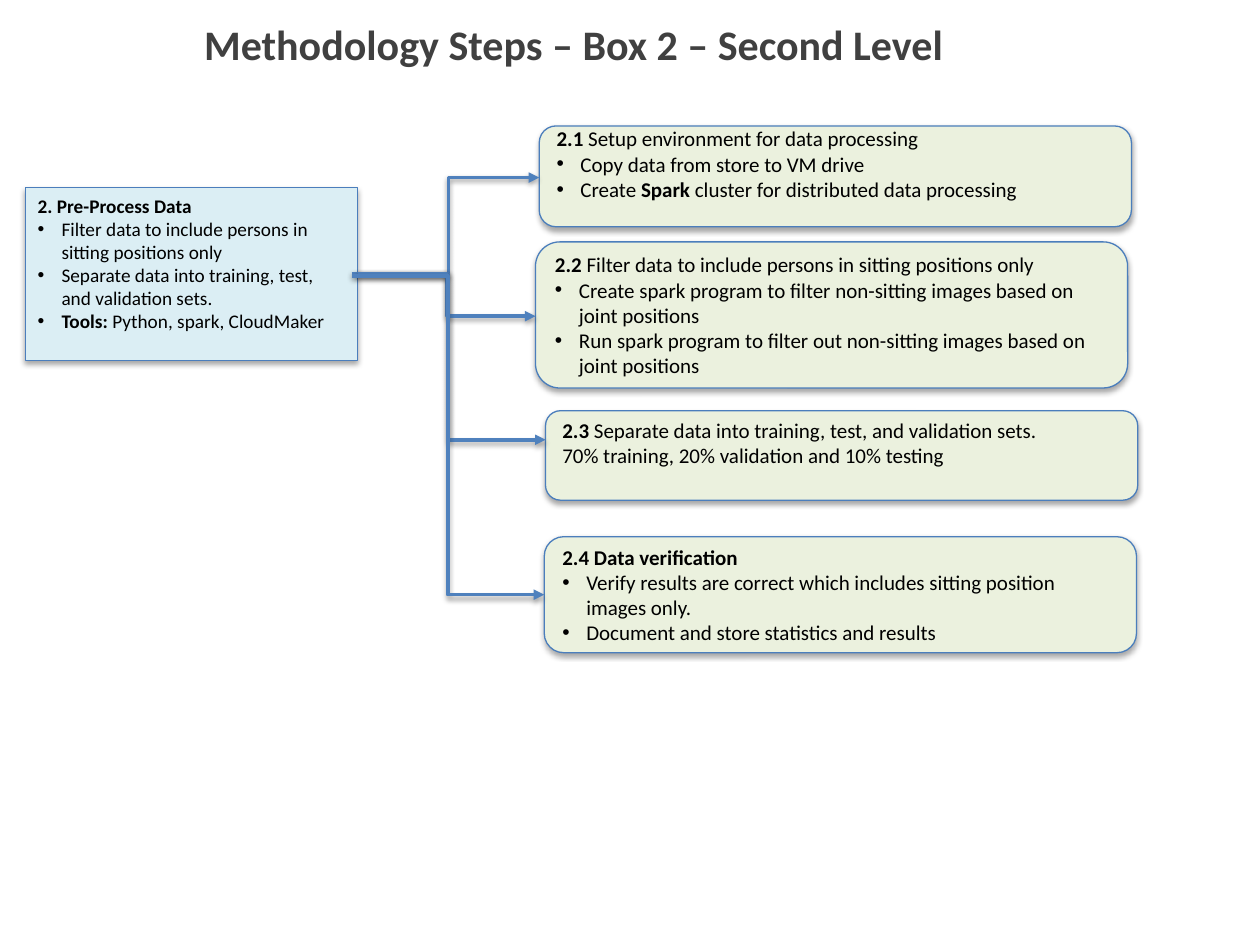
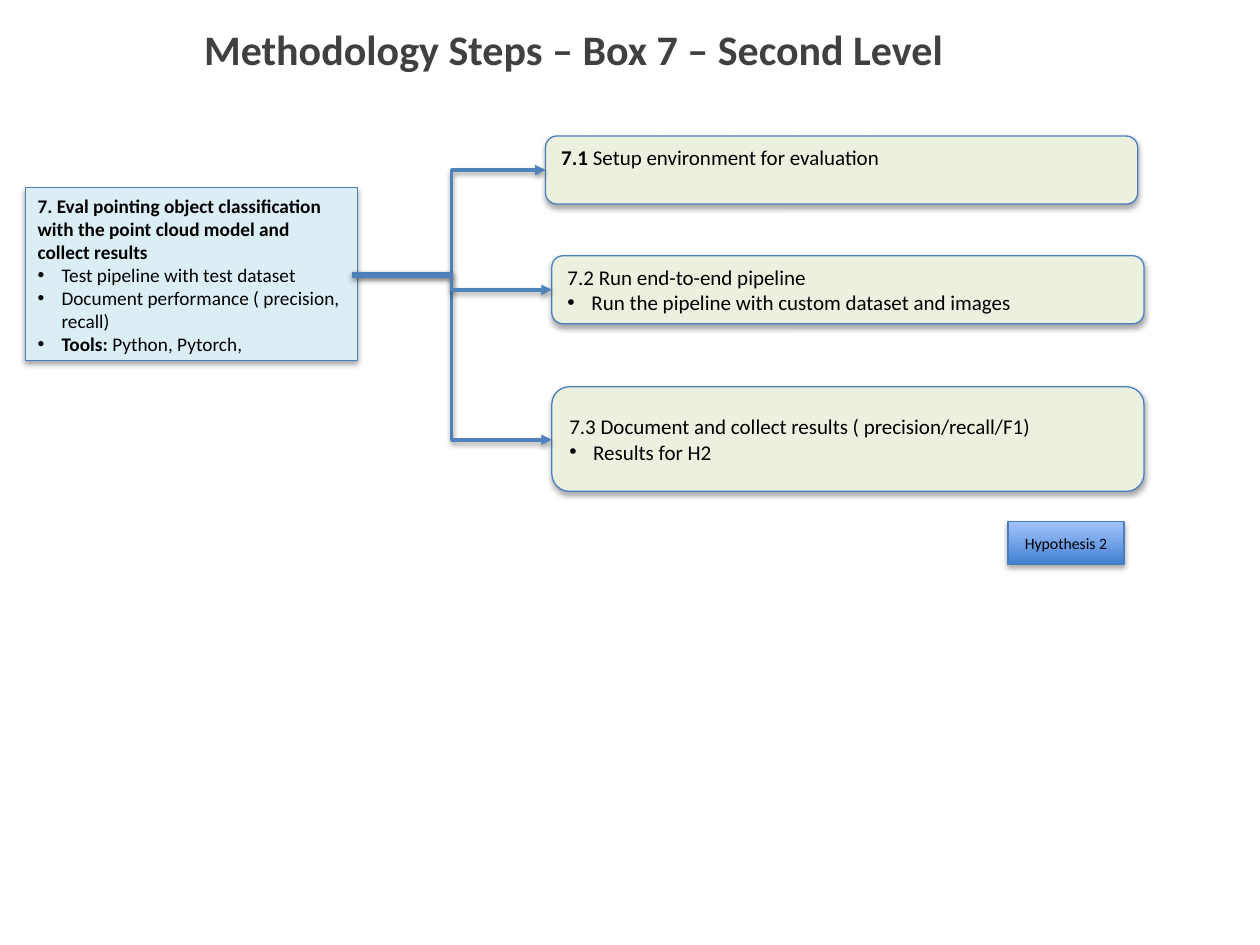
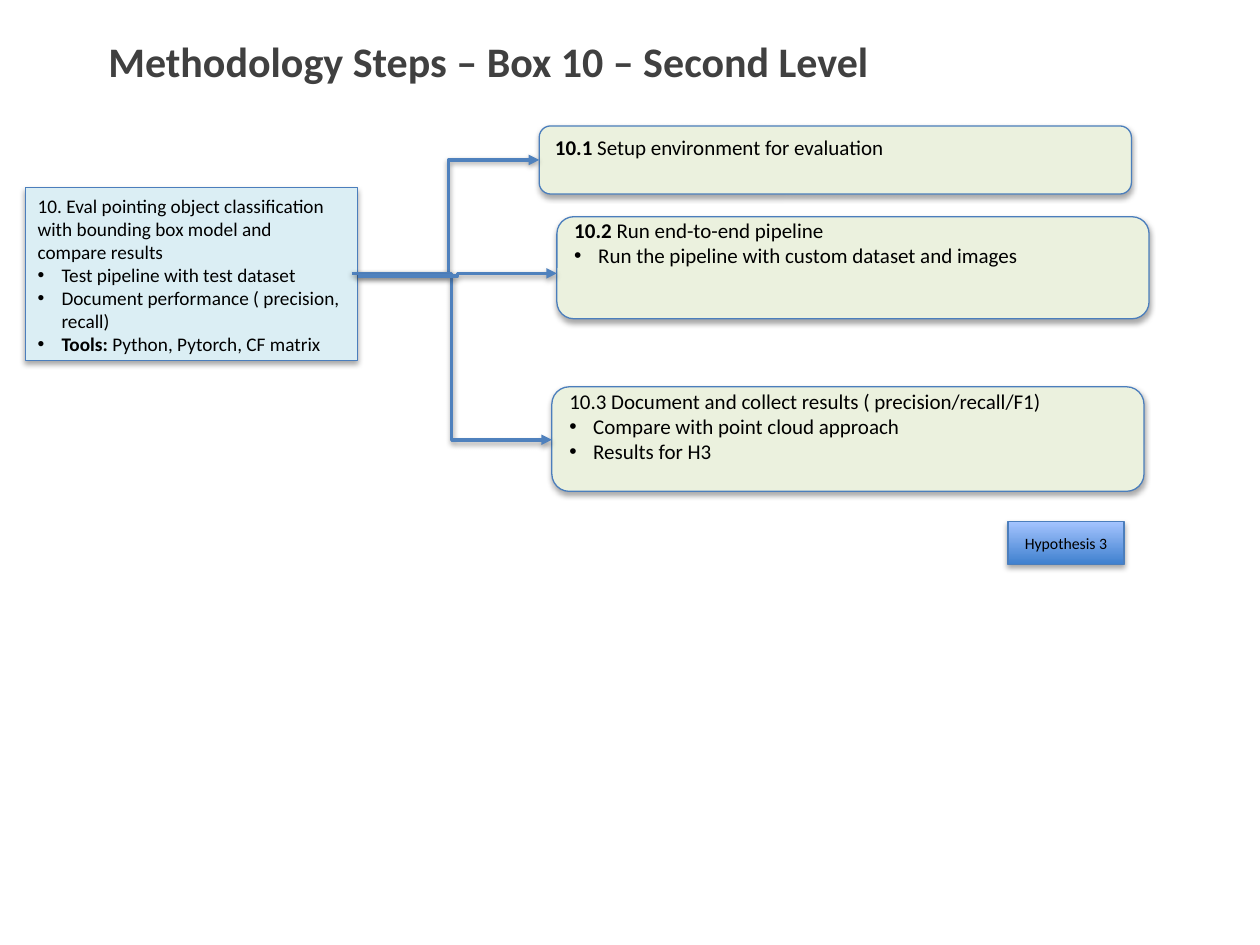
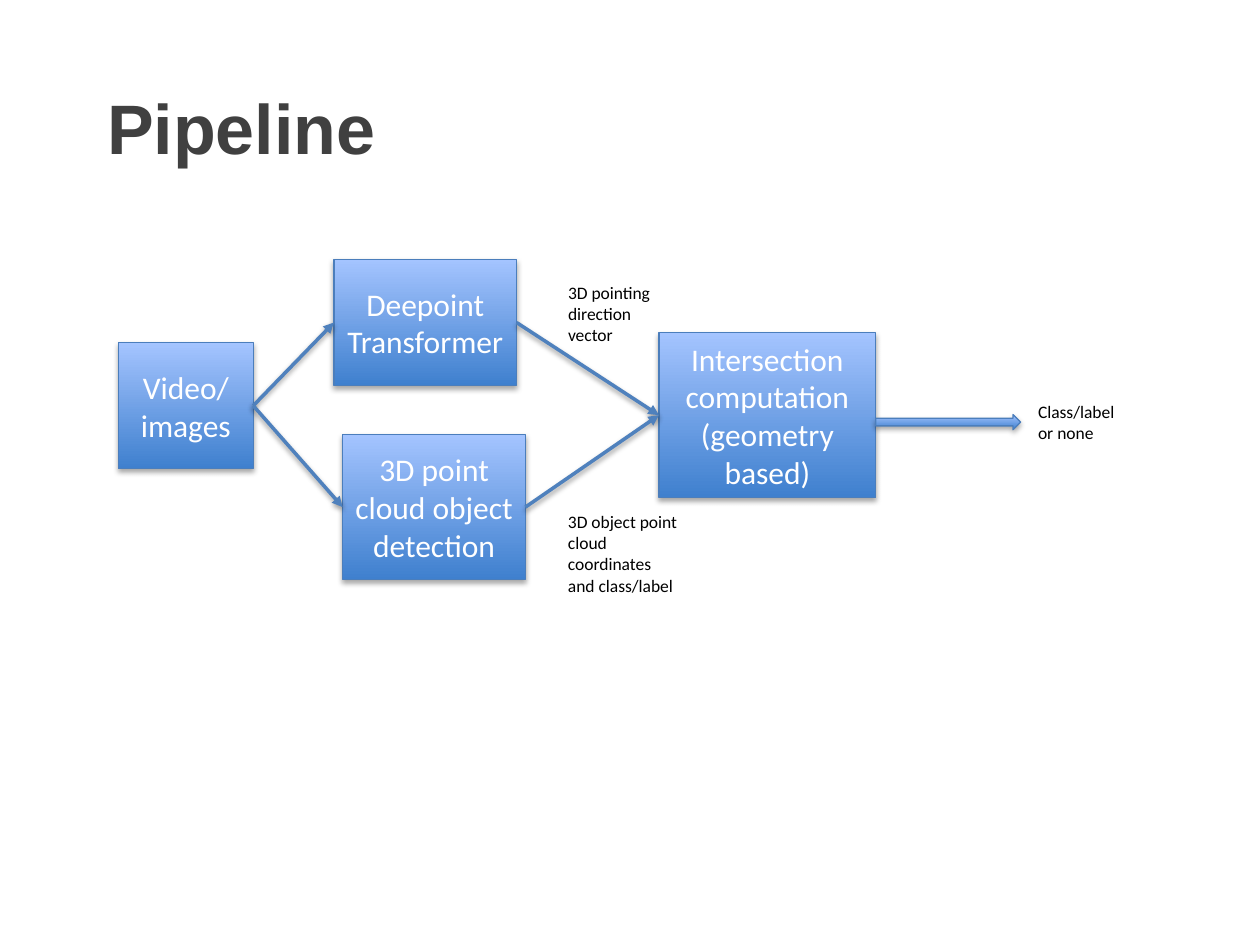
from lxml.etree import SubElement
from pptx import Presentation
from pptx.dml.color import RGBColor
from pptx.enum.shapes import MSO_CONNECTOR, MSO_SHAPE
from pptx.enum.text import MSO_ANCHOR, MSO_AUTO_SIZE, PP_ALIGN
from pptx.oxml.ns import qn
from pptx.util import Pt

PX = 9144  # EMU in one px, 100 px to the inch
COLORS = {
    "title": "404040",
    "text": "000000",
    "white": "FFFFFF",
    "source": "DBEEF4",
    "step": "EBF1DE",
    "dark": "3F80CE",
    "light": "A4C4FF",
    "outline": "4B7EBC",
    "arrow": "4F81BD",
}
INDENT = 19
STEP_WIDTH = 470
INSET, STEP_LINE = 5, 20  # box margin and height of one line of step text
TITLE_ONLY = 5

# Each step: left, top, height, lines kept free below the text, paragraphs.
# "- " starts a bullet and ** switches bold on and off.
# Each arrow: start x, start y, end x, end y.
METHOD_SLIDES = [
    {
        "title": ("Methodology Steps – Box 2 – Second Level", 152, 10),
        "source": [
            "**2. Pre-Process Data**",
            "- Filter data to include persons in sitting positions only",
            "- Separate data into training, test, and validation sets.",
            "- **Tools:** Python, spark, CloudMaker",
        ],
        "steps": [
            (428, 100, 80, 1, [
                "**2.1 **Setup environment for data processing",
                "- Copy data from store to VM drive",
                "- Create **Spark** cluster for distributed data processing",
            ]),
            (433, 326, 71, 1, [
                "**2.3 **Separate data into training, test, and validation sets.",
                "70% training, 20% validation and 10% testing",
            ]),
            (425, 192, 116, 0, [
                "**2.2 **Filter data to include persons in sitting positions only",
                "- Create spark program to filter non-sitting images based on joint positions",
                "- Run spark program to filter out non-sitting images based on joint positions",
            ]),
            (432, 426, 92, 0, [
                "**2.4 Data verification**",
                "- Verify results are correct which includes sitting position images only.",
                "- Document and store statistics and results",
            ]),
        ],
        "arrows": [(284, 217, 428, 141), (279, 217, 433, 349),
                   (284, 217, 425, 251), (279, 219, 432, 472)],
    },
    {
        "title": ("Methodology Steps – Box 7 – Second Level", 152, 14),
        "source": [
            "**7. Eval pointing object classification with the point cloud model "
            "and collect results**",
            "- Test pipeline with test dataset",
            "- Document performance ( precision, recall)",
            "- **Tools:** Python, Pytorch,",
        ],
        "steps": [
            (433, 108, 54, 1, ["**7.1 **Setup environment for evaluation"]),
            (438, 307, 83, 0, [
                "7.3 Document and collect results ( precision/recall/F1)",
                "- Results for H2",
            ]),
            (438, 203, 54, 0, [
                "7.2 Run end-to-end pipeline",
                "- Run the pipeline with custom dataset and images",
            ]),
        ],
        "arrows": [(284, 217, 433, 135), (279, 217, 438, 349), (279, 219, 438, 230)],
        "hypothesis": "Hypothesis 2",
    },
    {
        "title": ("Methodology Steps – Box 10 – Second Level", 76, 23),
        "source": [
            "10. Eval pointing object classification with bounding box model "
            "and compare results",
            "- Test pipeline with test dataset",
            "- Document performance ( precision, recall)",
            "- **Tools:** Python, Pytorch, CF matrix",
        ],
        "steps": [
            (428, 100, 54, 1, ["**10.1 **Setup environment for evaluation"]),
            (438, 307, 83, 1, [
                "10.3 Document and collect results ( precision/recall/F1)",
                "- Compare with point cloud approach",
                "- Results for H3",
            ]),
            (442, 172, 81, 2, [
                "**10.2 **Run end-to-end pipeline",
                "- Run the pipeline with custom dataset and images",
            ]),
        ],
        "arrows": [(284, 217, 428, 127), (279, 217, 438, 349), (284, 219, 442, 217)],
        "hypothesis": "Hypothesis 3",
    },
]


def px(*values):
    return [v * PX for v in values]


def rgb(name):
    return RGBColor.from_string(COLORS[name])


def add_bullet(p):
    pPr = p._p.get_or_add_pPr()
    pPr.set("marL", str(INDENT * PX))
    pPr.set("indent", str(-INDENT * PX))
    SubElement(pPr, qn("a:buFont")).set("typeface", "Arial")
    SubElement(pPr, qn("a:buChar")).set("char", "•")


def write_text(s, paragraphs, size=12, color="text", font="Calibri", bold=False,
               align=PP_ALIGN.LEFT, anchor=MSO_ANCHOR.TOP, bottom=INSET):
    tf = s.text_frame
    tf.word_wrap = True
    tf.vertical_anchor = anchor
    tf.margin_bottom = bottom * PX
    for i, text in enumerate(paragraphs):
        p = tf.add_paragraph() if i else tf.paragraphs[0]
        p.alignment = align
        if text.startswith("- "):
            add_bullet(p)
            text = text[2:]
        for j, part in enumerate(text.split("**")):
            if part:
                r = p.add_run()
                r.text = part
                r.font.name, r.font.size = font, Pt(size)
                r.font.bold = bold or j % 2 == 1
                r.font.color.rgb = rgb(color)
    return tf


def add_shadow(s, distance, opacity):
    effects = SubElement(s.element.spPr, qn("a:effectLst"))
    shadow = SubElement(effects, qn("a:outerShdw"), blurRad="40000", dist=str(distance),
                        dir="5400000", rotWithShape="0")
    color = SubElement(shadow, qn("a:srgbClr"), val="000000")
    SubElement(color, qn("a:alpha"), val=str(opacity * 1000))


def add_box(slide, box, fill=None, kind=MSO_SHAPE.RECTANGLE):
    """Outlined shape with a shadow; without a fill colour it gets the blue gradient."""
    s = slide.shapes.add_shape(kind, *px(*box))
    if fill:
        s.fill.solid()
        s.fill.fore_color.rgb = rgb(fill)
    else:
        s.fill.gradient()
        s.fill.gradient_angle = 90
        for stop, name in zip(s.fill.gradient_stops, ("dark", "light")):
            stop.color.rgb = rgb(name)
    s.line.color.rgb = rgb("outline")
    s.line.width = Pt(0.75)
    add_shadow(s, 23000, 35)
    return s


def add_blue_box(slide, box, text, size=18, color="white"):
    s = add_box(slide, box)
    write_text(s, [text], size=size, color=color, align=PP_ALIGN.CENTER,
               anchor=MSO_ANCHOR.MIDDLE)
    return s


def add_arrow(slide, kind, ends):
    s = slide.shapes.add_connector(kind, *px(*ends))
    s.line.color.rgb = rgb("arrow")
    s.line.width = Pt(2)
    SubElement(s.element.spPr.find(qn("a:ln")), qn("a:tailEnd"), type="triangle")
    add_shadow(s, 20000, 38)
    return s


def join(slide, start, end):
    """Straight arrow from the right side of one box to the left side of another."""
    s = add_arrow(slide, MSO_CONNECTOR.STRAIGHT, (0, 0, 0, 0))
    s.begin_connect(start, 3)
    s.end_connect(end, 1)


def add_label(slide, box, text):
    s = slide.shapes.add_textbox(*px(*box))
    write_text(s, [text], size=10).auto_size = MSO_AUTO_SIZE.SHAPE_TO_FIT_TEXT


def add_slide(prs, title, box, **text_format):
    slide = prs.slides.add_slide(prs.slide_layouts[TITLE_ONLY])
    s = slide.shapes.title
    s.left, s.top, s.width, s.height = px(*box)
    tf = write_text(s, [title], color="title", bold=True, **text_format)
    tf.auto_size = MSO_AUTO_SIZE.NONE
    return slide


def add_method_slide(prs, data):
    title, left, top = data["title"]
    slide = add_slide(prs, title, (left, top, 848, 81), size=24)

    # Source box on the left, step boxes on the right
    source = add_box(slide, (20, 149, 264, 137), "source")
    write_text(source, data["source"], size=11)
    for (left, top, height, free, paragraphs), ends in zip(data["steps"], data["arrows"]):
        step = add_box(slide, (left, top, STEP_WIDTH, height), "step",
                       MSO_SHAPE.ROUNDED_RECTANGLE)
        write_text(step, paragraphs, anchor=MSO_ANCHOR.MIDDLE,
                   bottom=INSET + free * STEP_LINE)
        add_arrow(slide, MSO_CONNECTOR.ELBOW, ends)

    # Hypothesis tag
    if "hypothesis" in data:
        add_blue_box(slide, (800, 414, 92, 34), data["hypothesis"], size=9, color="text")


def add_pipeline_slide(prs):
    slide = add_slide(prs, "Pipeline", (75, 62, 848, 115), size=40, font="Arial")

    # Stages
    video = add_blue_box(slide, (94, 272, 107, 100), "Video/ images")
    pointing = add_blue_box(slide, (265, 206, 145, 100), "Deepoint Transformer")
    detection = add_blue_box(slide, (272, 345, 145, 115), "3D point cloud object detection")
    intersection = add_blue_box(slide, (523, 264, 172, 131),
                                "Intersection computation (geometry based)")

    # Flow between the stages
    for branch in (pointing, detection):
        join(slide, video, branch)
        join(slide, branch, intersection)
    add_box(slide, (695, 329, 115, 12), kind=MSO_SHAPE.RIGHT_ARROW)

    # Outputs
    add_label(slide, (814, 313, 95, 44), "Class/label or none")
    add_label(slide, (441, 401, 107, 77), "3D object point cloud coordinates and class/label")
    add_label(slide, (441, 219, 95, 61), "3D pointing direction vector")


def main():
    prs = Presentation()
    prs.slide_width, prs.slide_height = px(1000, 750)
    for data in METHOD_SLIDES:
        add_method_slide(prs, data)
    add_pipeline_slide(prs)
    prs.save("out.pptx")


if __name__ == "__main__":
    main()
